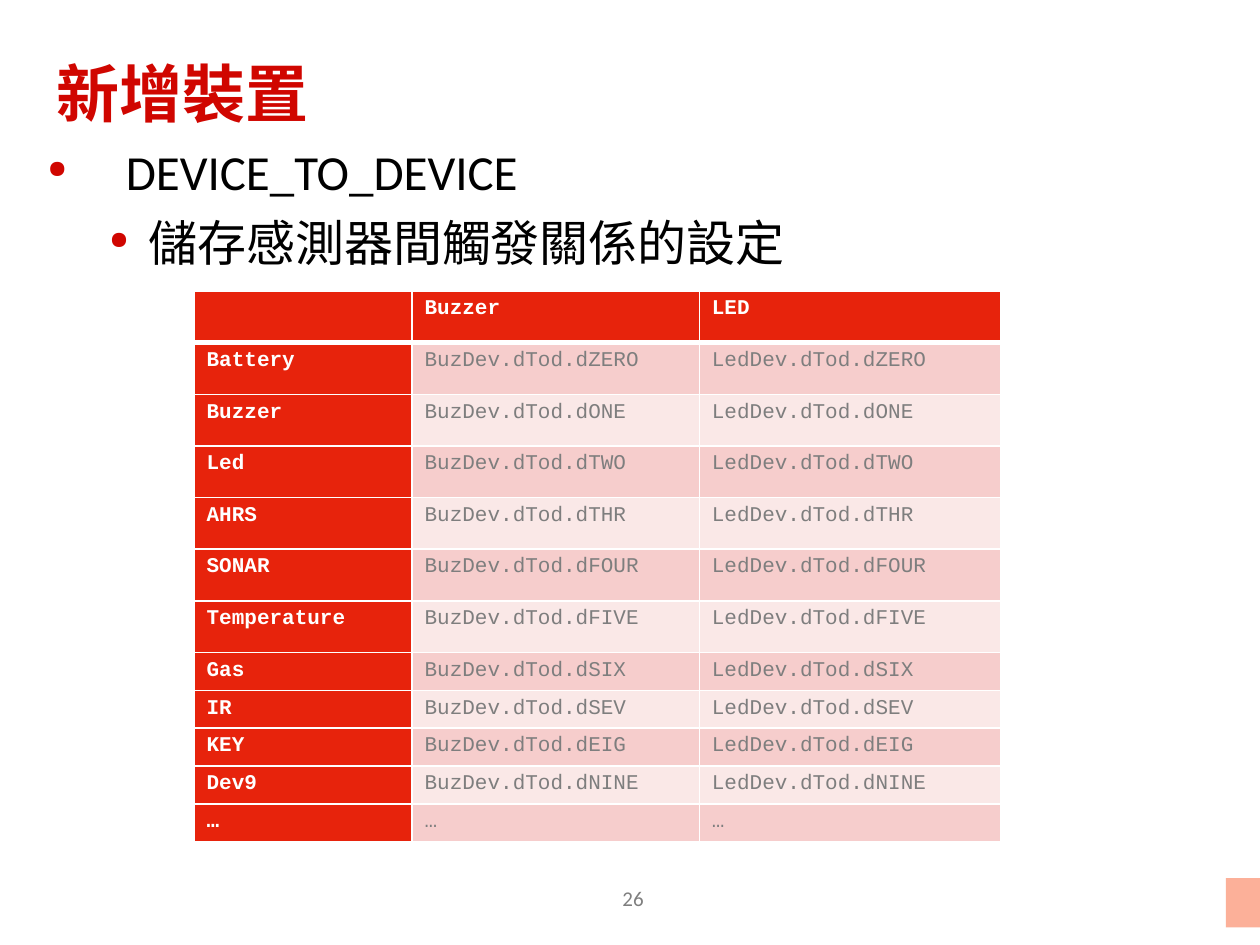
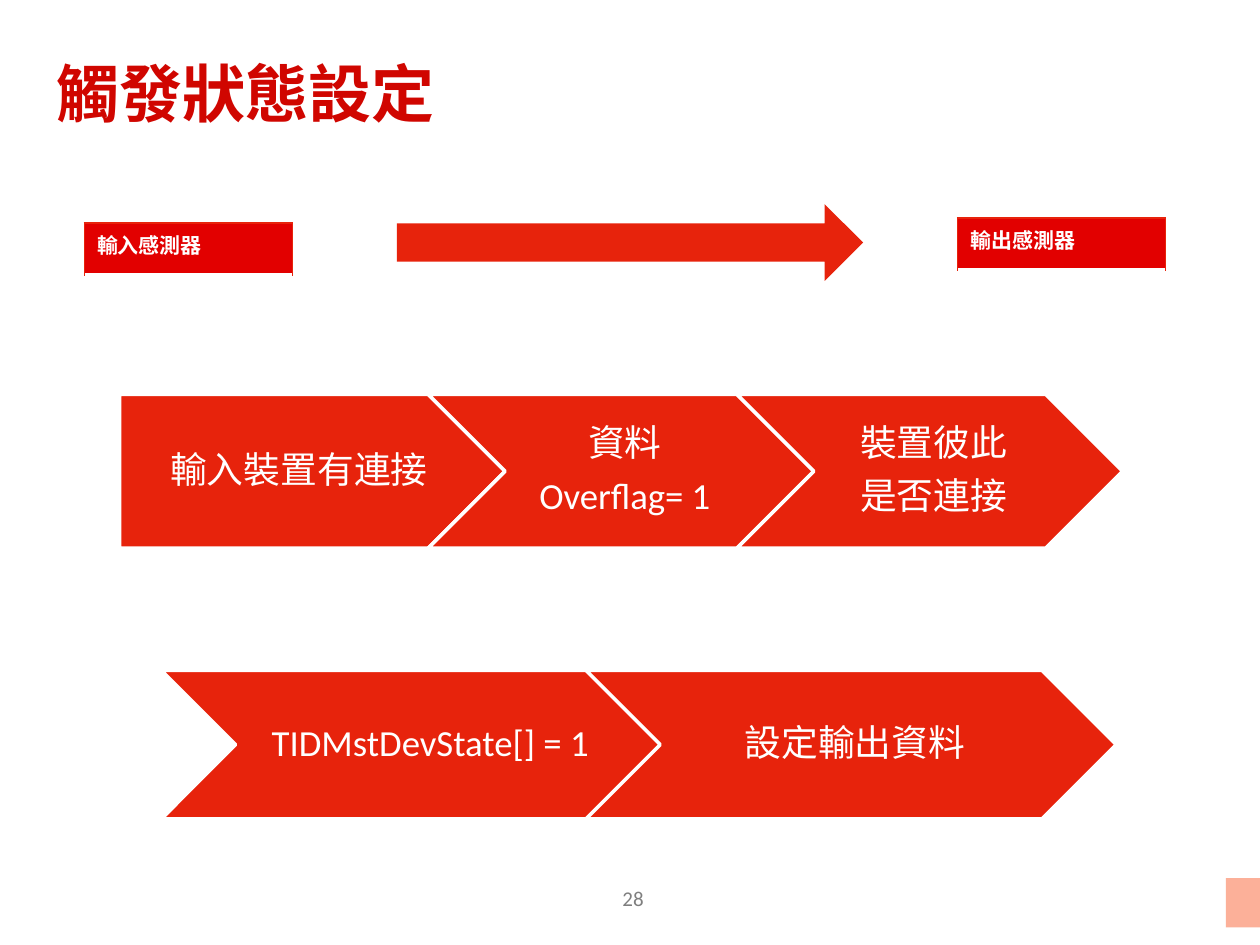
from dataclasses import dataclass

from lxml import etree
from pptx import Presentation
from pptx.dml.color import RGBColor
from pptx.enum.shapes import MSO_SHAPE
from pptx.enum.text import MSO_ANCHOR, PP_ALIGN
from pptx.oxml.ns import qn
from pptx.util import Inches, Pt

RECTANGLE, ARROW = MSO_SHAPE.RECTANGLE, MSO_SHAPE.RIGHT_ARROW
PENTAGON, CHEVRON = MSO_SHAPE.PENTAGON, MSO_SHAPE.CHEVRON
TOP, MIDDLE = MSO_ANCHOR.TOP, MSO_ANCHOR.MIDDLE
CENTER = PP_ALIGN.CENTER

RED, TITLE_RED, LABEL_RED = "E7230C", "D00600", "E20000"
WHITE, BLACK, CORNER = "FFFFFF", "000000", "FCB099"
PAGE_GREY, CELL_GREY = "7F7F7F", "7E7E7E"
BANDS = ("F6CDCC", "FAE8E7")
BODY_FONT, CODE_FONT = "Calibri", "Courier New"
SIDES = {"l": "a:lnL", "r": "a:lnR", "t": "a:lnT", "b": "a:lnB"}


@dataclass(frozen=True)
class TextStyle:
    size: float
    color: str
    bold: bool = False
    font: str = BODY_FONT


@dataclass(frozen=True)
class Bullet:
    text: str
    level: int
    indent: float
    hanging: float


@dataclass(frozen=True)
class StepRow:
    """A row of touching arrows; every step has the same size."""
    left: float
    top: float
    width: float
    height: float
    pitch: float
    steps: tuple


TITLE = TextStyle(36, TITLE_RED, bold=True)
PAGE_NUMBER = TextStyle(12, PAGE_GREY)
BODY = TextStyle(28, BLACK)
STEP = TextStyle(21, WHITE)
CELL_HEAD = TextStyle(12, WHITE, bold=True, font=CODE_FONT)
CELL_CODE = TextStyle(12, CELL_GREY, font=CODE_FONT)

BULLETS = (
    Bullet("DEVICE_TO_DEVICE", 0, 0.63, 0.62),
    Bullet("儲存感測器間觸發關係的設定", 1, 0.81, 0.31),
)
DEVICES = (
    ("Battery", "ZERO"), ("Buzzer", "ONE"), ("Led", "TWO"), ("AHRS", "THR"),
    ("SONAR", "FOUR"), ("Temperature", "FIVE"), ("Gas", "SIX"),
    ("IR", "SEV"), ("KEY", "EIG"), ("Dev9", "NINE"),
)
COLUMN_WIDTHS = (1.73, 2.28, 2.39)
TALL_ROW, LOW_ROW, TALL_ROWS = 0.41, 0.29, 7
STEP_ROWS = (
    StepRow(0.95, 3.13, 3.06, 1.22, 2.45, (
        (PENTAGON, ("輸入裝置有連接",)),
        (CHEVRON, ("資料", "Overflag= 1")),
        (CHEVRON, ("裝置彼此", "是否連接")),
    )),
    StepRow(1.28, 5.32, 4.21, 1.18, 3.37, (
        (CHEVRON, ("TIDMstDevState[] = 1",)),
        (CHEVRON, ("設定輸出資料",)),
    )),
)


def rgb(color: str) -> RGBColor:
    return RGBColor.from_string(color)


def apply(target, formats: dict) -> None:
    for name, value in formats.items():
        setattr(target, name, value)


def write(para, text: str, style: TextStyle, **formats) -> None:
    apply(para, formats)
    span = para.add_run()
    span.text = text
    apply(span.font, {"size": Pt(style.size), "bold": style.bold, "name": style.font})
    span.font.color.rgb = rgb(style.color)


def prepare_frame(frame, anchor, margins=(0.1, 0.05, 0.1, 0.05)) -> None:
    left, top, right, bottom = map(Inches, margins)
    apply(frame, {"word_wrap": True, "vertical_anchor": anchor,
                  "margin_left": left, "margin_top": top,
                  "margin_right": right, "margin_bottom": bottom})


def add_text_frame(page, left, top, width, height, anchor=MIDDLE):
    box = page.shapes.add_textbox(*map(Inches, (left, top, width, height)))
    prepare_frame(box.text_frame, anchor)
    return box.text_frame


def add_block(page, kind, left, top, width, height, fill, line_width=0):
    block = page.shapes.add_shape(kind, *map(Inches, (left, top, width, height)))
    block.shadow.inherit = False
    block.fill.solid()
    block.fill.fore_color.rgb = rgb(fill)
    if line_width:
        block.line.color.rgb = rgb(WHITE)
        block.line.width = Pt(line_width)
    else:
        block.line.fill.background()
    return block


def add_page(deck, title: str, number: int):
    page = deck.slides.add_slide(deck.slide_layouts[6])
    add_block(page, RECTANGLE, 9.73, 6.97, 0.29, 0.39, CORNER)
    heading = add_text_frame(page, 0.35, 0.12, 9.29, 1.23)
    write(heading.paragraphs[0], title, TITLE)
    footer = add_text_frame(page, 3.86, 6.95, 2.33, 0.4)
    write(footer.paragraphs[0], str(number), PAGE_NUMBER,
          alignment=CENTER, line_spacing=0.8)
    return page


def add_bullet(para, bullet: Bullet) -> None:
    properties = para._p.get_or_add_pPr()
    properties.set("marL", str(Inches(bullet.indent)))
    properties.set("indent", str(-Inches(bullet.hanging)))
    color = etree.SubElement(properties, qn("a:buClr"))
    etree.SubElement(color, qn("a:srgbClr"), val=TITLE_RED)
    etree.SubElement(properties, qn("a:buSzPct"), val="50000")
    etree.SubElement(properties, qn("a:buChar"), char="●")


def add_bullets(page, bullets) -> None:
    frame = add_text_frame(page, 0.27, 1.07, 9.29, 5.28, TOP)
    for index, bullet in enumerate(bullets):
        para = frame.add_paragraph() if index else frame.paragraphs[0]
        add_bullet(para, bullet)
        write(para, bullet.text, BODY, level=bullet.level,
              space_before=Pt(7 if index else 0))


def style_cell(cell, text: str, style: TextStyle, fill: str, borders: dict) -> None:
    """Fill a cell; borders maps a side (l, r, t, b) to colour and points."""
    properties = cell._tc.get_or_add_tcPr()
    for side, tag in SIDES.items():
        color, points = borders[side]
        line = etree.SubElement(properties, qn(tag), w=str(Pt(points)))
        solid = etree.SubElement(line, qn("a:solidFill"))
        etree.SubElement(solid, qn("a:srgbClr"), val=color)
    cell.fill.solid()
    cell.fill.fore_color.rgb = rgb(fill)
    if text:
        write(cell.text_frame.paragraphs[0], text, style)


def add_grid(page, left, top, widths, heights):
    frame = page.shapes.add_table(len(heights), len(widths), Inches(left), Inches(top),
                                  Inches(sum(widths)), Inches(sum(heights)))
    for column, width in zip(frame.table.columns, widths):
        column.width = Inches(width)
    for row, height in zip(frame.table.rows, heights):
        row.height = Inches(height)
    return frame.table


def add_device_table(page) -> None:
    rows = [("", "Buzzer", "LED")]
    rows += [(name, f"BuzDev.dTod.d{code}", f"LedDev.dTod.d{code}")
             for name, code in DEVICES]
    rows.append(("…",) * 3)
    heights = [TALL_ROW if index < TALL_ROWS else LOW_ROW for index in range(len(rows))]
    table = add_grid(page, 1.54, 2.31, COLUMN_WIDTHS, heights)
    for row, texts in enumerate(rows):
        borders = dict.fromkeys(SIDES, (WHITE, 1))
        if row < 2:
            borders["t" if row else "b"] = (WHITE, 3)
        for column, text in enumerate(texts):
            is_head = row == 0 or column == 0
            style_cell(table.cell(row, column), text,
                       CELL_HEAD if is_head else CELL_CODE,
                       RED if is_head else BANDS[(row - 1) % 2], borders)


def add_sensor_label(page, left: float, top: float, text: str) -> None:
    table = add_grid(page, left, top, (1.65,), (0.41,))
    borders = {**dict.fromkeys(SIDES, (RED, 1)), "b": (WHITE, 2.25)}
    style_cell(table.cell(0, 0), text, CELL_HEAD, LABEL_RED, borders)


def add_steps(page, row: StepRow) -> None:
    for index, (kind, lines) in enumerate(row.steps):
        block = add_block(page, kind, row.left + index * row.pitch, row.top,
                          row.width, row.height, RED, line_width=2)
        frame = block.text_frame
        prepare_frame(frame, MIDDLE, (0.12 if kind == PENTAGON else 0.09, 0.06, 0.03, 0.06))
        for number, text in enumerate(lines):
            para = frame.add_paragraph() if number else frame.paragraphs[0]
            write(para, text, STEP, alignment=CENTER,
                  line_spacing=0.9, space_after=Pt(7.35))


def main() -> None:
    deck = Presentation()
    apply(deck, {"slide_width": Inches(10), "slide_height": Inches(7.5)})

    devices = add_page(deck, "新增裝置", 26)
    add_bullets(devices, BULLETS)
    add_device_table(devices)

    triggers = add_page(deck, "觸發狀態設定", 28)
    add_sensor_label(triggers, 0.67, 1.77, "輸入感測器")
    add_block(triggers, ARROW, 3.15, 1.62, 3.7, 0.61, RED)
    add_sensor_label(triggers, 7.6, 1.73, "輸出感測器")
    for row in STEP_ROWS:
        add_steps(triggers, row)

    deck.save("out.pptx")


if __name__ == "__main__":
    main()
